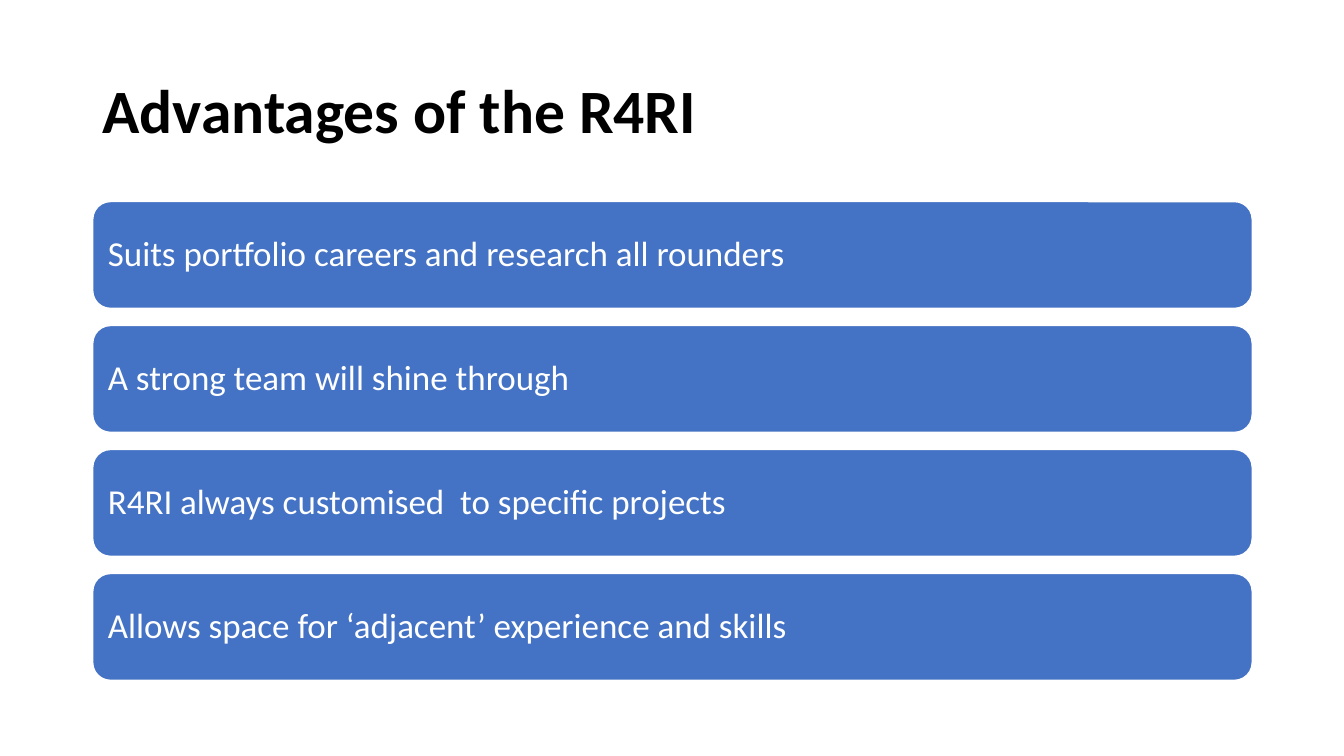
from pptx import Presentation
from pptx.dml.color import RGBColor
from pptx.enum.shapes import MSO_SHAPE
from pptx.enum.text import MSO_ANCHOR, PP_ALIGN
from pptx.util import Inches, Pt

ROUND = MSO_SHAPE.ROUNDED_RECTANGLE
MIDDLE = MSO_ANCHOR.MIDDLE
LEFT = PP_ALIGN.LEFT

EDGE, WIDE = Inches(0.92), Inches(11.5)
TOP, TALL, STEP = Inches(2), Inches(1.06), Inches(1.23)
POINTS = [
    "Suits portfolio careers and research all rounders",
    "A strong team will shine through",
    "R4RI always customised  to specific projects",
    "Allows space for ‘adjacent’ experience and skills",
]


def color(code):
    return RGBColor.from_string(code)


def write(shape, text, size, code, bold=False):
    frame = shape.text_frame
    frame.word_wrap = True
    frame.vertical_anchor = MIDDLE
    frame.margin_left = frame.margin_right = Inches(0.1)
    para = frame.paragraphs[0]
    para.alignment = LEFT
    para.line_spacing = 0.9
    run = para.add_run()
    run.text = text
    run.font.name = "Calibri"
    run.font.size = Pt(size)
    run.font.bold = bold
    run.font.color.rgb = color(code)


deck = Presentation()
deck.slide_width, deck.slide_height = Inches(13.33), Inches(7.5)
slide = deck.slides.add_slide(deck.slide_layouts[6])

title = slide.shapes.add_textbox(EDGE, Inches(0.4), WIDE, Inches(1.45))
write(title, "Advantages of the R4RI", 44, "000000", True)

for row, point in enumerate(POINTS):
    bar = slide.shapes.add_shape(ROUND, EDGE, TOP + row * STEP, WIDE, TALL)
    bar.shadow.inherit = False
    bar.fill.solid()
    bar.fill.fore_color.rgb = color("4472C4")
    bar.line.color.rgb = color("FFFFFF")
    bar.line.width = Pt(1)
    write(bar, point, 25, "FFFFFF")

deck.save("out.pptx")
